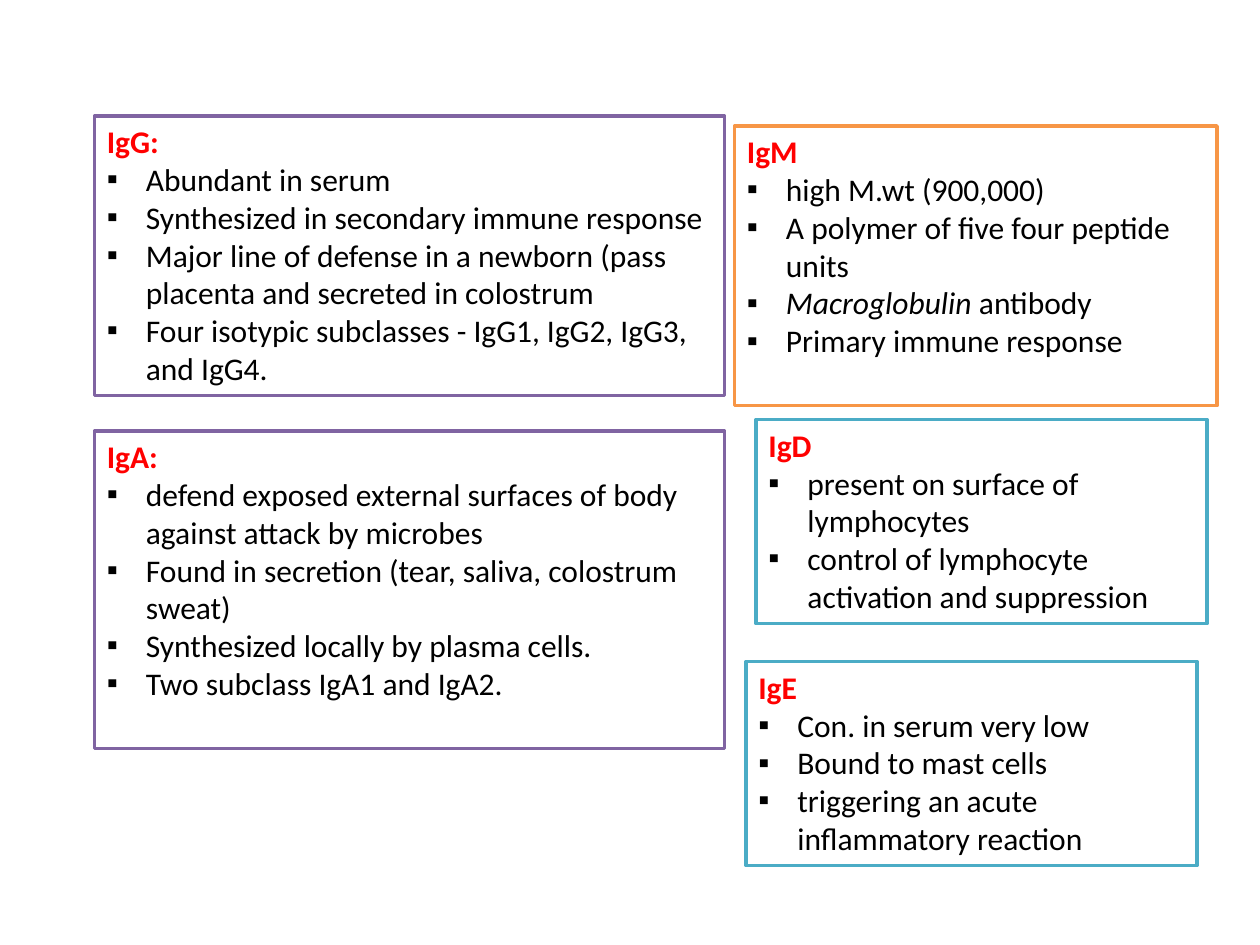
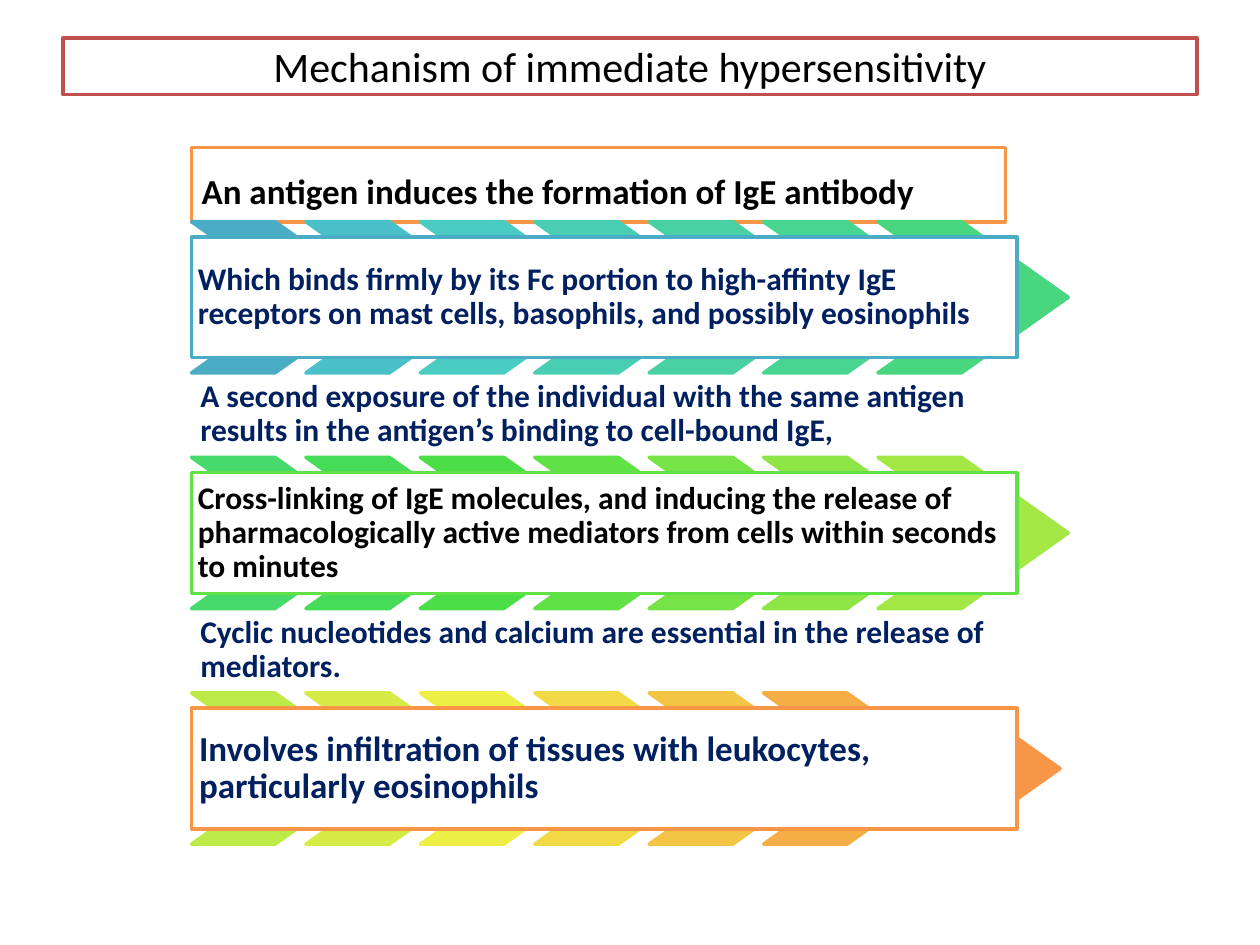
from lxml.etree import SubElement
from pptx import Presentation
from pptx.dml.color import RGBColor
from pptx.enum.shapes import MSO_SHAPE
from pptx.enum.text import MSO_ANCHOR, MSO_AUTO_SIZE, PP_ALIGN
from pptx.oxml.ns import qn
from pptx.util import Inches, Pt

FONT = "Calibri"
BLACK = RGBColor(0, 0, 0)
WHITE = RGBColor(0xFF, 0xFF, 0xFF)
RED = RGBColor(0xFF, 0, 0)
NAVY = RGBColor(0, 0x20, 0x60)
BRICK = RGBColor(0xC0, 0x50, 0x4D)
PURPLE = RGBColor(0x80, 0x64, 0xA2)
ORANGE = RGBColor(0xF7, 0x96, 0x46)
TEAL = RGBColor(0x4B, 0xAC, 0xC6)
GREEN = RGBColor(0x60, 0xE1, 0x46)

TITLE_ONLY, BLANK = 5, 6
BORDER = Pt(2)
BULLET_INDENT = Inches(0.31)

# box (left, top, width, height), border, heading, bullets;
# a pair is a bullet with an italic opening
ANTIBODY_CLASSES = [
    ((0.75, 0.92, 5, 2.22), PURPLE, "IgG:", [
        "Abundant in serum",
        "Synthesized in secondary immune response",
        "Major line of defense in a newborn (pass placenta and secreted in colostrum",
        "Four isotypic subclasses - IgG1, IgG2, IgG3, and IgG4."]),
    ((0.75, 3.42, 5, 2.52), PURPLE, "IgA:", [
        "defend exposed external surfaces of body against attack by microbes",
        "Found in secretion (tear, saliva, colostrum sweat)",
        "Synthesized locally by plasma cells.",
        "Two subclass IgA1 and IgA2."]),
    ((5.83, 1, 3.83, 2.22), ORANGE, "IgM", [
        "high M.wt (900,000)",
        "A polymer of five four peptide units",
        ("Macroglobulin ", "antibody"),
        "Primary immune response"]),
    ((6, 3.33, 3.58, 1.62), TEAL, "IgD", [
        "present on surface of lymphocytes",
        "control of lymphocyte activation and suppression"]),
    ((5.92, 5.25, 3.58, 1.62), TEAL, "IgE", [
        "Con. in serum very low",
        "Bound to mast cells",
        "triggering an acute inflammatory reaction"]),
]

# heading (text, size, colour, inset, border), chevron colours,
# detail (text, size, colour, inset, border)
STAGES = [
    (("An antigen induces the formation of IgE antibody", 20, BLACK, 0.08, ORANGE),
     "4BACC6 4AC0C9 4ACCC3 49CEB3 49D1A3 48D491 48D77E",
     ("Which binds firmly by its Fc portion to high-affinty IgE receptors on "
      "mast cells, basophils, and possibly eosinophils", 18, NAVY, 0.05, TEAL)),
    (("A second exposure of the individual with the same antigen results in "
      "the antigen’s binding to cell-bound IgE,", 18, NAVY, 0.07, None),
     "47D96B 47DC57 4BDE47 60E146 76E346 8DE646 A4E846",
     ("Cross-linking of IgE molecules, and inducing the release of "
      "pharmacologically active mediators from cells within seconds to minutes",
      18, BLACK, 0.05, GREEN)),
    (("Cyclic nucleotides and calcium are essential in the release of mediators.",
      18, NAVY, 0.07, None),
     "BCEA46 D5EC46 EEEF46 F1DA46 F3C446 F5AD46 F79646",
     ("Involves infiltration of tissues with leukocytes, particularly eosinophils",
      20, NAVY, 0.06, ORANGE)),
]
STAGE_LEFT, STAGE_TOP, STAGE_PITCH = 1.52, 1.17, 1.87
HEADING_SIZE = (6.46, 0.59)
DETAIL_SIZE = (6.55, 0.96)
DETAIL_OFFSET = 0.12
CHEVRON_SIZE = (1.51, 1.2)
LAST_CHEVRON_SIZE = (1.38, 0.8)
CHEVRON_PITCH = 0.908
CHEVRON_POINT = 0.706


def paint(shape, fill, border):
    shape.fill.solid()
    shape.fill.fore_color.rgb = fill
    shape.line.color.rgb = border
    shape.line.width = BORDER


def add_painted(slide, preset, box, fill, border):
    shape = slide.shapes.add_shape(preset, *map(Inches, box))
    shape.shadow.inherit = False
    paint(shape, fill, border)
    return shape


def style(paragraph, size, colour, bold=False, align=PP_ALIGN.LEFT):
    paragraph.alignment = align
    font = paragraph.font
    font.name, font.size, font.bold = FONT, Pt(size), bold
    font.color.rgb = colour


def add_bullet(frame, content):
    paragraph = frame.add_paragraph()
    properties = paragraph._p.get_or_add_pPr()
    properties.set("marL", str(BULLET_INDENT))
    properties.set("indent", str(-BULLET_INDENT))
    SubElement(properties, qn("a:buFont"), typeface="Arial")
    SubElement(properties, qn("a:buChar"), char="▪")
    style(paragraph, 18, BLACK)
    if isinstance(content, str):
        paragraph.add_run().text = content
    else:
        for text, italic in zip(content, (True, False)):
            run = paragraph.add_run()
            run.text = text
            run.font.italic = italic


def add_class_panel(slide, box, border, heading, bullets):
    frame = add_painted(slide, MSO_SHAPE.RECTANGLE, box, WHITE, border).text_frame
    frame.word_wrap = True
    frame.vertical_anchor = MSO_ANCHOR.TOP
    frame.paragraphs[0].text = heading
    style(frame.paragraphs[0], 18, RED, bold=True)
    for bullet in bullets:
        add_bullet(frame, bullet)


def add_statement(slide, box, statement, anchor):
    """Place bold text in a box, framed only when a border colour is given."""
    text, size, colour, inset, border = statement
    if border is None:
        holder = slide.shapes.add_textbox(*map(Inches, box))
    else:
        holder = add_painted(slide, MSO_SHAPE.RECTANGLE, box, WHITE, border)
    frame = holder.text_frame
    frame.word_wrap = True
    frame.vertical_anchor = anchor
    frame.margin_left = frame.margin_right = Inches(inset)
    frame.margin_top = frame.margin_bottom = Inches(inset)
    paragraph = frame.paragraphs[0]
    paragraph.text = text
    paragraph.line_spacing = 0.9
    style(paragraph, size, colour, bold=True)


def add_chevron_row(slide, left, top, colours):
    """Draw overlapping chevrons; one in the final orange is smaller."""
    full_width, full_height = CHEVRON_SIZE
    for i, colour in enumerate(map(RGBColor.from_string, colours.split())):
        width, height = LAST_CHEVRON_SIZE if colour == ORANGE else CHEVRON_SIZE
        box = (left + i * CHEVRON_PITCH + (full_width - width) / 2,
               top + (full_height - height) / 2, width, height)
        chevron = add_painted(slide, MSO_SHAPE.CHEVRON, box, colour, colour)
        chevron.adjustments[0] = CHEVRON_POINT


def add_stage(slide, left, top, heading, colours, detail):
    add_statement(slide, (left, top, *HEADING_SIZE), heading, MSO_ANCHOR.BOTTOM)
    row_top = top + HEADING_SIZE[1]
    add_chevron_row(slide, left, row_top, colours)
    add_statement(slide, (left, row_top + DETAIL_OFFSET, *DETAIL_SIZE), detail,
                  MSO_ANCHOR.MIDDLE)


def set_title(slide, text, box):
    title = slide.shapes.title
    title.left, title.top, title.width, title.height = map(Inches, box)
    paint(title, WHITE, BRICK)
    frame = title.text_frame
    frame.auto_size = MSO_AUTO_SIZE.NONE
    frame.vertical_anchor = MSO_ANCHOR.MIDDLE
    frame.text = text
    style(frame.paragraphs[0], 24, BLACK, align=PP_ALIGN.CENTER)


def build_antibody_slide(deck):
    slide = deck.slides.add_slide(deck.slide_layouts[BLANK])
    for antibody in ANTIBODY_CLASSES:
        add_class_panel(slide, *antibody)


def build_mechanism_slide(deck):
    slide = deck.slides.add_slide(deck.slide_layouts[TITLE_ONLY])
    set_title(slide, "Mechanism of immediate hypersensitivity", (0.5, 0.3, 9, 0.45))
    for i, stage in enumerate(STAGES):
        add_stage(slide, STAGE_LEFT, STAGE_TOP + i * STAGE_PITCH, *stage)


def main():
    deck = Presentation()
    deck.slide_width, deck.slide_height = Inches(10), Inches(7.5)
    build_antibody_slide(deck)
    build_mechanism_slide(deck)
    deck.save("out.pptx")


if __name__ == "__main__":
    main()
